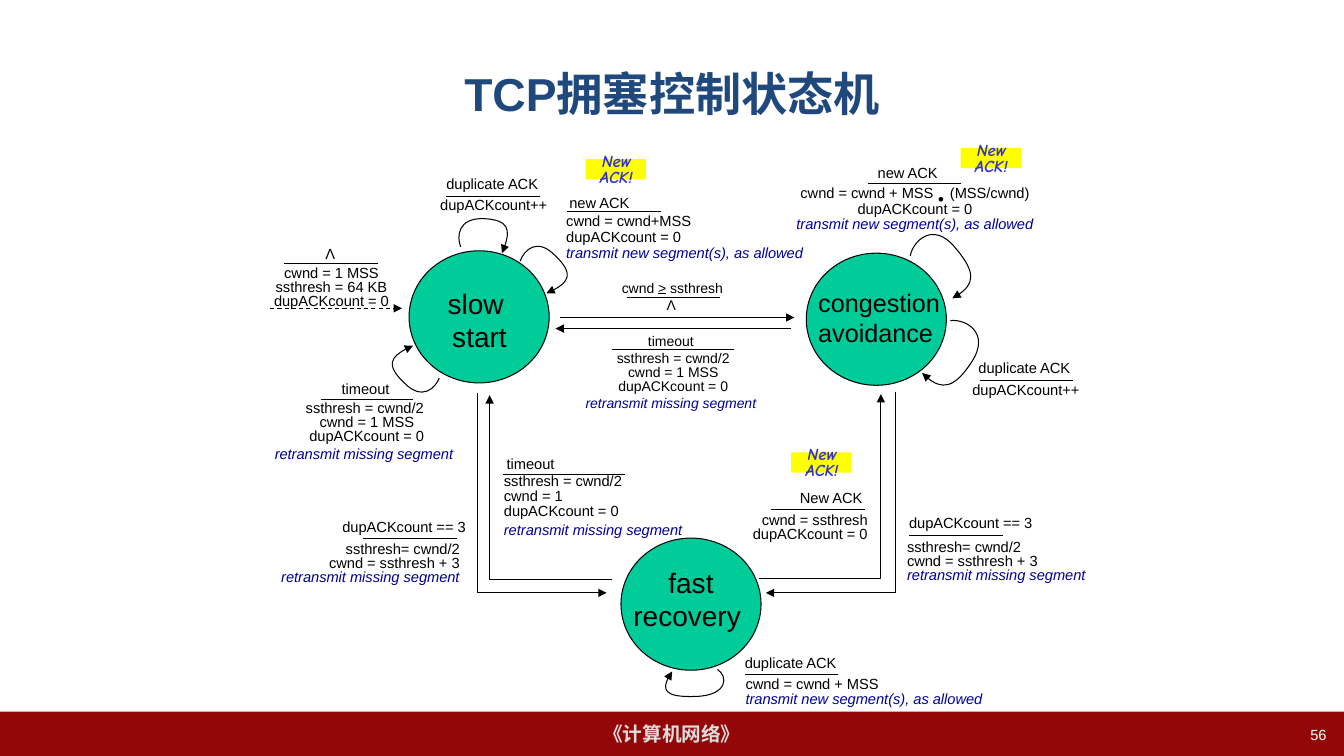
from pptx import Presentation
from pptx.dml.color import RGBColor
from pptx.enum import dml, shapes, text
from pptx.oxml import ns, xmlchemy
from pptx.util import Cm, Pt

BLACK = RGBColor(0x00, 0x00, 0x00)
WHITE = RGBColor(0xFF, 0xFF, 0xFF)
TITLE_BLUE = RGBColor(0x1F, 0x49, 0x7D)
SEND_BLUE = RGBColor(0x00, 0x00, 0x99)
BADGE_BLUE = RGBColor(0x33, 0x33, 0xCC)
YELLOW = RGBColor(0xFF, 0xFF, 0x00)
GREEN = RGBColor(0x00, 0xCC, 0x99)
FOOTER_RED = RGBColor(0x94, 0x07, 0x09)
FOOTER_GREY = RGBColor(0xDD, 0xDD, 0xDD)

LEFT, CENTER, RIGHT = text.PP_ALIGN.LEFT, text.PP_ALIGN.CENTER, text.PP_ALIGN.RIGHT
RETRANSMIT = "retransmit missing segment"
TRANSMIT = "transmit new segment(s), as allowed"
RESET = "dupACKcount = 0"
TALL_SPACE = {10: 12, 10.5: 14}  # size of the space that ends a retransmit line

# All lengths are in centimetres.
# State: circle corner, label box, label size, label lines
CIRCLE = (3.53, 3.33)
STATES = [
    ((10.31, 6.32), (11.02, 7.09, 2.13, 1.96), 20, ["slow ", "start"]),
    ((20.32, 6.38), (20.35, 7.11, 3.61, 2.57), 18, ["congestion", "avoidance "]),
    ((15.65, 13.56), (15.70, 14.12, 3.43, 2.82), 20, ["fast", "recovery "]),
]

# Transition: event, its left, top, width; rule x1, x2, y;
# action box, alignment, line spacing, size, lines
TRANSITIONS = [
    ("timeout", (16.08, 8.26, 1.80), (15.42, 18.49, 8.81),
     (14.50, 8.74, 4.93, 1.78), CENTER, 0.85, 10,
     ["ssthresh = cwnd/2", "cwnd = 1 MSS", RESET, RETRANSMIT + " "]),
    ("cwnd > ssthresh", (15.42, 6.91, 3.05), (15.80, 18.14, 7.49),
     (16.54, 7.44, 0.76, 0.58), CENTER, 0.8, 10, ["Λ"]),
    ("new ACK", (21.87, 4.01, 2.08), (21.87, 24.23, 4.62),
     (19.76, 4.55, 6.60, 1.96), CENTER, 0.9, 10.5,
     [("cwnd = cwnd + MSS", " ", "(MSS/cwnd)"), RESET, TRANSMIT]),
    ("duplicate ACK", (24.41, 8.92, 2.90), (24.69, 27.03, 9.58),
     (24.23, 9.55, 3.25, 1.09), CENTER, 0.8, 10.5, ["dupACKcount++"]),
    ("duplicate ACK", (18.52, 16.36, 2.90), (18.77, 21.13, 16.99),
     (18.54, 16.94, 6.60, 1.50), LEFT, 0.85, 10.5,
     ["cwnd = cwnd + MSS", TRANSMIT]),
    ("dupACKcount == 3", (8.38, 12.93, 3.68), (9.14, 11.51, 13.56),
     (6.73, 13.56, 5.11, 1.80), RIGHT, 0.8, 10.5,
     ["ssthresh= cwnd/2", "cwnd = ssthresh + 3", RETRANSMIT]),
    ("timeout", (12.52, 11.33, 1.80), (12.67, 15.75, 11.96),
     (12.45, 11.84, 5.23, 1.91), LEFT, 0.85, 10.5,
     ["ssthresh = cwnd/2", "cwnd = 1", RESET, RETRANSMIT + " "]),
    ("dupACKcount == 3", (22.66, 12.83, 3.68), (22.91, 25.27, 13.49),
     (22.61, 13.51, 5.11, 1.80), LEFT, 0.8, 10.5,
     ["ssthresh= cwnd/2", "cwnd = ssthresh + 3", RETRANSMIT]),
    ("New ACK", (19.91, 12.19, 2.13), (19.43, 21.79, 12.83),
     (18.67, 12.83, 3.45, 1.80), RIGHT, 0.8, 10.5, ["cwnd = ssthresh", RESET]),
    ("timeout", (8.36, 9.45, 1.80), (8.08, 10.41, 10.06),
     (6.63, 10.01, 5.23, 1.80), CENTER, 0.8, 10.5,
     ["ssthresh = cwnd/2 ", "cwnd = 1 MSS", RESET, RETRANSMIT + " "]),
    ("new ACK", (14.10, 4.75, 2.08), (14.30, 16.66, 5.33),
     (14.02, 5.26, 6.60, 1.96), LEFT, 0.9, 10.5,
     ["cwnd = cwnd+MSS", RESET, TRANSMIT]),
    ("duplicate ACK", (11.00, 4.29, 2.90), (11.25, 13.61, 4.95),
     (10.82, 4.90, 3.25, 1.09), CENTER, 0.8, 10.5, ["dupACKcount++"]),
    ("Λ", (7.95, 6.05, 0.76), (7.16, 9.53, 6.65),
     (6.63, 6.60, 3.45, 1.32), CENTER, 0.8, 10.5,
     ["cwnd = 1 MSS", "ssthresh = 64 KB", RESET]),
]
EQUAL_BAR = (16.59, 16.79, 7.39)  # turns > into ≥

STRAIGHT_ARROWS = [(19.94, 14.00, 8.28), (14.10, 20.02, 8.00)]
START_ARROW = (6.81, 10.13, 7.77)
ELBOW_ARROWS = [
    [(12.04, 9.91), (12.04, 14.94), (15.29, 14.94)],
    [(15.42, 14.61), (12.34, 14.61), (12.34, 9.96)],
    [(22.58, 9.88), (22.58, 14.94), (19.30, 14.94)],
    [(19.13, 14.58), (22.20, 14.58), (22.20, 9.93)],
]
# Each loop: a start, then two Bézier segments of three points
LOOPS = [
    [(22.94, 6.45), (23.01, 6.07), (23.52, 5.56), (24.08, 6.25),
     (24.64, 6.91), (24.49, 7.26), (24.00, 7.52)],
    [(23.95, 8.08), (24.33, 8.03), (24.97, 8.38), (24.49, 9.12),
     (24.03, 9.83), (23.62, 9.80), (23.24, 9.40)],
    [(18.08, 16.87), (18.36, 17.04), (18.34, 17.53), (17.53, 17.55),
     (16.69, 17.58), (16.69, 17.25), (16.94, 16.92)],
    [(11.61, 6.22), (11.51, 5.97), (11.53, 5.49), (12.19, 5.51),
     (12.83, 5.54), (12.88, 5.87), (12.65, 6.38)],
    [(13.11, 6.58), (13.21, 6.30), (13.54, 5.97), (14.00, 6.45),
     (14.48, 6.91), (14.27, 7.19), (13.77, 7.39)],
    [(11.07, 9.53), (10.97, 9.78), (10.64, 10.11), (10.19, 9.65),
     (9.70, 9.19), (9.91, 8.92), (10.41, 8.71)],
]
BADGES = [(19.94, 11.40), (14.76, 4.01), (24.21, 3.73)]


def add_text(slide, box, lines, size, color=BLACK, align=LEFT, spacing=None,
             font="Arial", bold=None, italic=None, wrap=False, grow=True):
    shape = slide.shapes.add_textbox(*map(Cm, box))
    frame = shape.text_frame
    frame.word_wrap = wrap
    if grow:
        frame.auto_size = text.MSO_AUTO_SIZE.SHAPE_TO_FIT_TEXT
    for index, line in enumerate(lines):
        paragraph = frame.add_paragraph() if index else frame.paragraphs[0]
        paragraph.alignment = align
        paragraph.line_spacing = spacing
        sends = TRANSMIT in line or RETRANSMIT in line
        if sends and line.endswith(" "):
            line = (line.rstrip(), " ")
        pieces = line if isinstance(line, tuple) else (line,)
        for piece in pieces:
            run = paragraph.add_run()
            run.text = piece
            run.font.name, run.font.size = font, Pt(size)
            run.font.bold, run.font.italic = bold, True if sends else italic
            run.font.color.rgb = SEND_BLUE if sends else color
            if piece == " " and sends:
                run.font.size = Pt(TALL_SPACE[size])
            elif piece == " ":  # room for the multiplication dot
                run._r.get_or_add_rPr().set("spc", "875")
    return shape


def add_block(slide, preset, box, fill, outlined=False):
    shape = slide.shapes.add_shape(preset, *map(Cm, box))
    shape.shadow.inherit = False
    shape.fill.solid()
    shape.fill.fore_color.rgb = fill
    if outlined:
        shape.line.color.rgb, shape.line.width = BLACK, Pt(0.75)
    else:
        shape.line.fill.background()
    return shape


def style_line(shape, arrow):
    shape.line.color.rgb, shape.line.width = BLACK, Pt(0.75)
    if arrow:
        tail = xmlchemy.OxmlElement("a:tailEnd")
        tail.set("type", "triangle")
        shape.line._get_or_add_ln().append(tail)


def add_level_line(slide, ends, arrow=False):
    x1, x2, y = map(Cm, ends)
    line = slide.shapes.add_connector(shapes.MSO_CONNECTOR.STRAIGHT, x1, y, x2, y)
    style_line(line, arrow)
    line._element.spPr.append(xmlchemy.OxmlElement("a:effectLst"))
    return line


def add_bent_arrow(slide, points, curved):
    """Draw an open arrow; if curved, each three points form a Bézier segment."""
    start, *rest = [(Cm(x), Cm(y)) for x, y in points]
    builder = slide.shapes.build_freeform(*start)
    builder.add_line_segments(rest, close=False)
    shape = builder.convert_to_shape()
    shape.shadow.inherit = False
    shape.fill.background()
    style_line(shape, True)
    if curved:
        segments = list(shape._element.iter(ns.qn("a:lnTo")))
        for first in range(0, len(segments), 3):
            curve = xmlchemy.OxmlElement("a:cubicBezTo")
            segments[first].addprevious(curve)
            for segment in segments[first:first + 3]:
                curve.append(segment[0])
                segment.getparent().remove(segment)


def main():
    presentation = Presentation()
    presentation.slide_width, presentation.slide_height = Cm(33.87), Cm(19.05)
    slide = presentation.slides.add_slide(presentation.slide_layouts[6])

    footer_box = (0, 17.93, 33.87, 1.12)
    add_block(slide, shapes.MSO_SHAPE.RECTANGLE, footer_box, FOOTER_RED)
    footer = add_text(slide, footer_box, ["《计算机网络》"], 14, FOOTER_GREY,
                      CENTER, bold=True, wrap=True, grow=False)
    title = add_text(slide, (1.70, 0.76, 30.48, 3.18), ["TCP拥塞控制状态机"], 33, TITLE_BLUE,
                     CENTER, bold=True, wrap=True, grow=False)
    for shape in (footer, title):
        shape.text_frame.vertical_anchor = text.MSO_ANCHOR.MIDDLE
    add_text(slide, (25.78, 18.16, 7.90, 0.89), ["56"], 10.5, WHITE, RIGHT,
             wrap=True, grow=False)

    for corner, label_box, size, lines in STATES:
        add_block(slide, shapes.MSO_SHAPE.OVAL, corner + CIRCLE, GREEN, outlined=True)
        add_text(slide, label_box, lines, size, align=CENTER)
    for event, event_box, rule, action_box, align, spacing, size, lines in TRANSITIONS:
        add_text(slide, event_box + (0.71,), [event], size)
        add_text(slide, action_box, lines, size, align=align, spacing=spacing)
        add_level_line(slide, rule)
    add_level_line(slide, EQUAL_BAR)
    add_text(slide, (23.34, 3.96, 0.76, 1.45), ["."], 28, font="Times New Roman")

    for ends in STRAIGHT_ARROWS:
        add_level_line(slide, ends, arrow=True)
    start_arrow = add_level_line(slide, START_ARROW, arrow=True)
    start_arrow.line.dash_style = dml.MSO_LINE.DASH
    for curved, arrows in ((False, ELBOW_ARROWS), (True, LOOPS)):
        for points in arrows:
            add_bent_arrow(slide, points, curved)

    for left, top in BADGES:
        add_block(slide, shapes.MSO_SHAPE.RECTANGLE, (left, top, 1.52, 0.51), YELLOW)
        add_text(slide, (left - 0.1, top - 0.24, 1.75, 1.07), ["New", "ACK!"], 12, BADGE_BLUE,
                 CENTER, 0.8, "Comic Neue", bold=True, italic=True, wrap=True)
    presentation.save("out.pptx")


if __name__ == "__main__":
    main()
